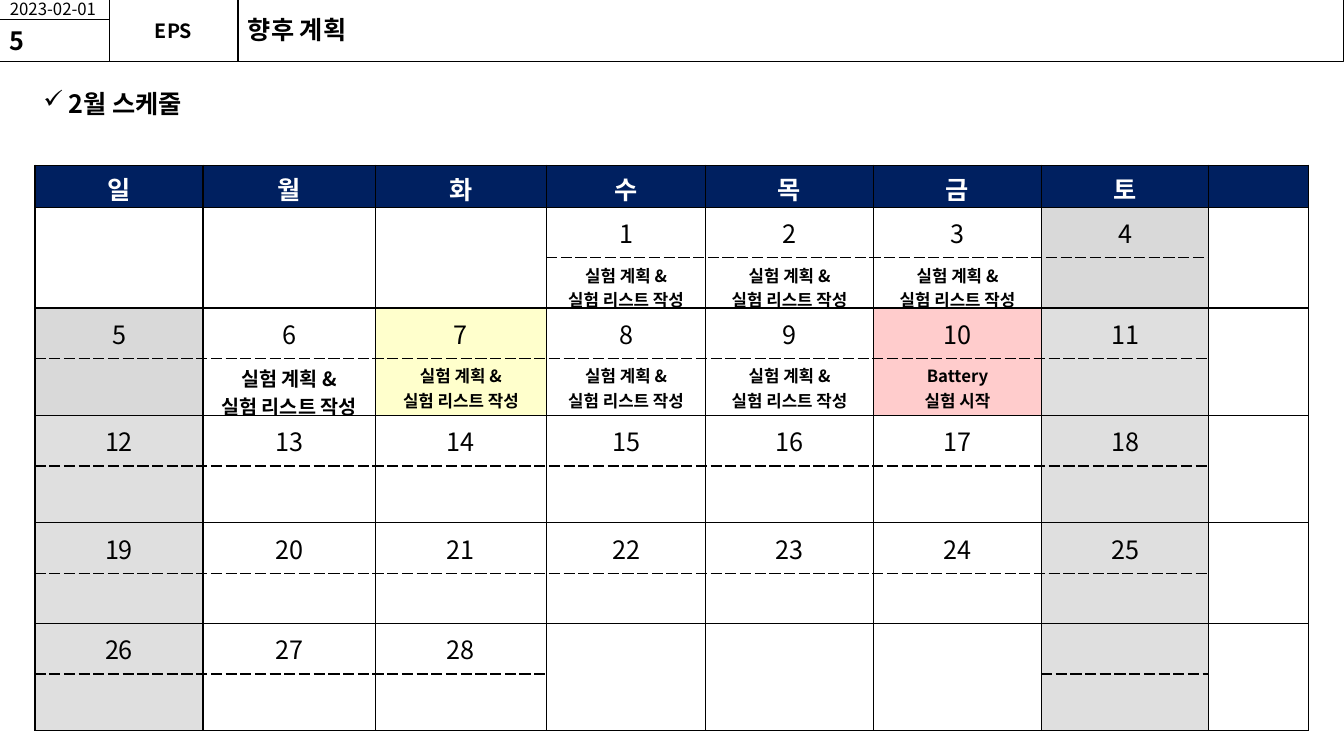
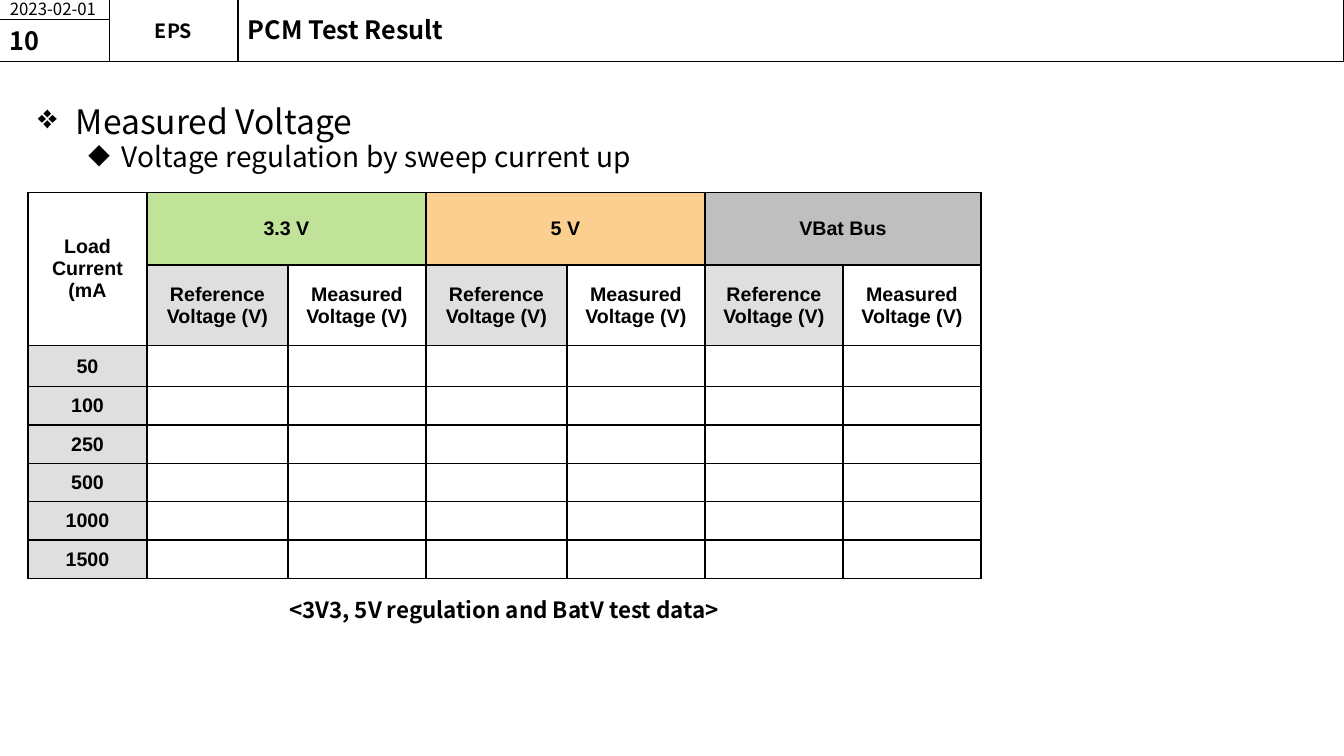
from dataclasses import dataclass

from lxml import etree
from pptx import Presentation
from pptx.dml.color import RGBColor
from pptx.enum.shapes import MSO_SHAPE
from pptx.enum.text import MSO_ANCHOR, PP_ALIGN
from pptx.oxml.ns import qn
from pptx.util import Pt


@dataclass(frozen=True)
class Theme:
    sans: str = "Noto Sans CJK KR"
    table_sans: str = "Arial"
    black: str = "000000"
    white: str = "FFFFFF"
    navy: str = "002060"
    grey: str = "DFDFDF"
    mid_grey: str = "D9D9D9"
    dark_grey: str = "BFBFBF"
    yellow: str = "FFFFCC"
    pink: str = "FFCCCC"
    green: str = "C0E399"
    orange: str = "FBCF8F"
    topic: float = 24
    subtopic: float = 20
    title: float = 18
    caption: float = 16
    label: float = 14
    small: float = 12
    rule: float = 0.75
    grid: float = 1


THEME = Theme()
SOLID, DASHED = "solid", "sysDash"
HEADER_TOP, HEADER_BOTTOM = -0.7, 44
DATE_BOTTOM = 13.7
TEAM_LEFT, TITLE_LEFT, SLIDE_WIDTH, SLIDE_HEIGHT = 78, 170, 960, 540


def write(paragraph, text, size, bold=False, color=THEME.black, face=THEME.sans):
    run = paragraph.add_run()
    run.text = text
    font = run.font
    font.size, font.bold, font.name = Pt(size), bold, face
    font.color.rgb = RGBColor.from_string(color)
    etree.SubElement(run._r.get_or_add_rPr(), qn("a:ea"), typeface=face)


def add_text(slide, left, top, width, height):
    box = slide.shapes.add_textbox(Pt(left), Pt(top), Pt(width), Pt(height))
    box.text_frame.word_wrap = True
    return box.text_frame


def add_frame(slide, left, top, right, bottom):
    """Outlined, unfilled header compartment; returns its text frame."""
    frame = slide.shapes.add_shape(MSO_SHAPE.RECTANGLE, Pt(left), Pt(top),
                                   Pt(right - left), Pt(bottom - top))
    frame.shadow.inherit = False
    frame.fill.background()
    frame.line.color.rgb = RGBColor.from_string(THEME.black)
    frame.line.width = Pt(THEME.rule)
    text = frame.text_frame
    text.word_wrap = True
    text.vertical_anchor = MSO_ANCHOR.MIDDLE
    text.paragraphs[0].alignment = PP_ALIGN.LEFT
    return text


def add_header(slide, page, title):
    add_frame(slide, TITLE_LEFT, HEADER_TOP, SLIDE_WIDTH, HEADER_BOTTOM)
    date = add_frame(slide, 0, HEADER_TOP, TEAM_LEFT, DATE_BOTTOM)
    write(date.paragraphs[0], "2023-02-01", THEME.small)
    team = add_frame(slide, TEAM_LEFT, HEADER_TOP, TITLE_LEFT, HEADER_BOTTOM)
    team.margin_left = team.margin_right = team.margin_top = team.margin_bottom = 0
    team.paragraphs[0].alignment = PP_ALIGN.CENTER
    write(team.paragraphs[0], "EPS", THEME.label, bold=True)
    number = add_frame(slide, 0, DATE_BOTTOM, TEAM_LEFT, HEADER_BOTTOM)
    write(number.paragraphs[0], page, THEME.title, bold=True)
    heading = add_text(slide, TITLE_LEFT, 6.5, 525, 29)
    write(heading.paragraphs[0], title, THEME.title, bold=True)


def set_bullet(paragraph, symbol, margin, hanging):
    properties = paragraph._p.get_or_add_pPr()
    properties.set("marL", str(Pt(margin)))
    properties.set("indent", str(-Pt(hanging)))
    etree.SubElement(properties, qn("a:buChar"), char=symbol)
    paragraph.line_spacing = 0.8


def set_borders(cell, top, bottom):
    """Draw all four sides; top and bottom name their dash style."""
    properties = cell._tc.get_or_add_tcPr()
    sides = {"L": SOLID, "R": SOLID, "T": top, "B": bottom}
    for position, (side, dash) in enumerate(sides.items()):
        line = etree.Element(qn(f"a:ln{side}"), w=str(Pt(THEME.grid)))
        fill = etree.SubElement(line, qn("a:solidFill"))
        etree.SubElement(fill, qn("a:srgbClr"), val=THEME.black)
        etree.SubElement(line, qn("a:prstDash"), val=dash)
        properties.insert(position, line)


def fill_cell(cell, lines=(), size=THEME.label, bold=True, color=THEME.black,
              fill=THEME.white, face=THEME.sans, top=SOLID, bottom=SOLID):
    cell.fill.solid()
    cell.fill.fore_color.rgb = RGBColor.from_string(fill)
    set_borders(cell, top, bottom)
    cell.vertical_anchor = MSO_ANCHOR.MIDDLE
    text = cell.text_frame
    for index, line in enumerate(lines):
        paragraph = text.add_paragraph() if index else text.paragraphs[0]
        paragraph.alignment = PP_ALIGN.CENTER
        write(paragraph, line, size, bold, color, face)
    if not lines:
        etree.SubElement(text.paragraphs[0]._p, qn("a:endParaRPr"), sz=str(int(size * 100)))


def add_grid(slide, left, top, widths, heights):
    table = slide.shapes.add_table(len(heights), len(widths), Pt(left), Pt(top),
                                   Pt(sum(widths)), Pt(sum(heights))).table
    table.first_row = table.horz_banding = False
    for column, width in zip(table.columns, widths):
        column.width = Pt(width)
    for row, height in zip(table.rows, heights):
        row.height = Pt(height)
    return table


def add_calendar(slide):
    weekdays = ["일", "월", "화", "수", "목", "금", "토"]
    sunday, saturday, margin_column = 0, 6, 7
    first_weekday, days = 3, 28
    day_height, plan_heights = 36, [36, 40.6, 40.6, 36, 40.6]
    planning = ["실험 계획 &", "실험 리스트 작성"]
    plans = dict.fromkeys([1, 2, 3, 6, 7, 8, 9], planning)
    plans[10] = ["Battery", "실험 시작"]
    highlights = {4: THEME.mid_grey, 5: THEME.mid_grey, 7: THEME.yellow, 10: THEME.pink}

    heights = [30] + [height for plan in plan_heights for height in (day_height, plan)]
    table = add_grid(slide, 25, 118, [120, 123, 122.5, 113.5, 120, 120, 119.5, 71.5], heights)
    for column, name in enumerate(weekdays):
        fill_cell(table.cell(0, column), [name], THEME.title, color=THEME.white, fill=THEME.navy)
    fill_cell(table.cell(0, margin_column), fill=THEME.navy)

    for week in range(len(plan_heights)):
        for column in range(margin_column + 1):
            day = week * len(weekdays) + column - first_weekday + 1
            dated = column != margin_column and 1 <= day <= days
            upper, lower = table.cell(2 * week + 1, column), table.cell(2 * week + 2, column)
            if not dated and column != saturday:
                fill_cell(upper)
                fill_cell(lower)
                upper.merge(lower)
                continue
            weekend = column in (sunday, saturday)
            fill = highlights.get(day, THEME.grey if weekend else THEME.white)
            plan_size = THEME.label if day == 6 else THEME.small
            fill_cell(upper, [str(day)] if dated else [], THEME.title, bold=False,
                      fill=fill, bottom=DASHED)
            fill_cell(lower, plans.get(day, []), plan_size, fill=fill, top=DASHED)


def add_voltage_table(slide):
    buses = {"3.3 V": THEME.green, "5 V": THEME.orange, "VBat Bus": THEME.dark_grey}
    readings = {"Reference": THEME.grey, "Measured": THEME.white}
    loads = [50, 100, 250, 500, 1000, 1500]
    table = add_grid(slide, 20, 137.5, [85, 100.7, 98.6, 100.7, 98.6, 98.6, 98.6],
                     [51.8, 57.6, 29.3] + [27.4] * (len(loads) - 1))

    def put(row, column, lines=(), fill=THEME.white):
        fill_cell(table.cell(row, column), lines, fill=fill, face=THEME.table_sans)

    put(0, 0, ["Load", "Current", "(mA"])
    put(1, 0)
    table.cell(0, 0).merge(table.cell(1, 0))
    for index, (bus, bus_fill) in enumerate(buses.items()):
        first = 1 + index * len(readings)
        put(0, first, [bus], bus_fill)
        put(0, first + 1, fill=bus_fill)
        table.cell(0, first).merge(table.cell(0, first + 1))
        for offset, (reading, reading_fill) in enumerate(readings.items()):
            put(1, first + offset, [reading, "Voltage (V)"], reading_fill)
    for row, load in enumerate(loads, start=2):
        put(row, 0, [str(load)], THEME.grey)
        for column in range(1, len(table.columns)):
            put(row, column)


def build_schedule(slide):
    add_header(slide, "5", "향후 계획")
    month = add_text(slide, 24, 64, 858, 40).paragraphs[0]
    set_bullet(month, "✓", 18, 18)
    write(month, "2월 스케줄", THEME.title, bold=True)
    add_calendar(slide)


def build_test_result(slide):
    add_header(slide, "10", "PCM Test Result")
    outline = add_text(slide, 20, 74, 680, 62)
    topic = outline.paragraphs[0]
    set_bullet(topic, "❖", 27, 27)
    write(topic, "Measured Voltage", THEME.topic)
    subtopic = outline.add_paragraph()
    subtopic.level = 1
    set_bullet(subtopic, "◆", 60, 24)
    subtopic.space_before = Pt(4)
    write(subtopic, "Voltage regulation by sweep current up", THEME.subtopic)
    add_voltage_table(slide)
    caption = add_text(slide, 20, 422, 680, 26.6).paragraphs[0]
    caption.alignment = PP_ALIGN.CENTER
    write(caption, "<3V3, 5V regulation and BatV test data>", THEME.caption, bold=True)


def main():
    deck = Presentation()
    deck.slide_width, deck.slide_height = Pt(SLIDE_WIDTH), Pt(SLIDE_HEIGHT)
    blank = deck.slide_layouts[6]
    for build in (build_schedule, build_test_result):
        build(deck.slides.add_slide(blank))
    deck.save("out.pptx")


if __name__ == "__main__":
    main()
